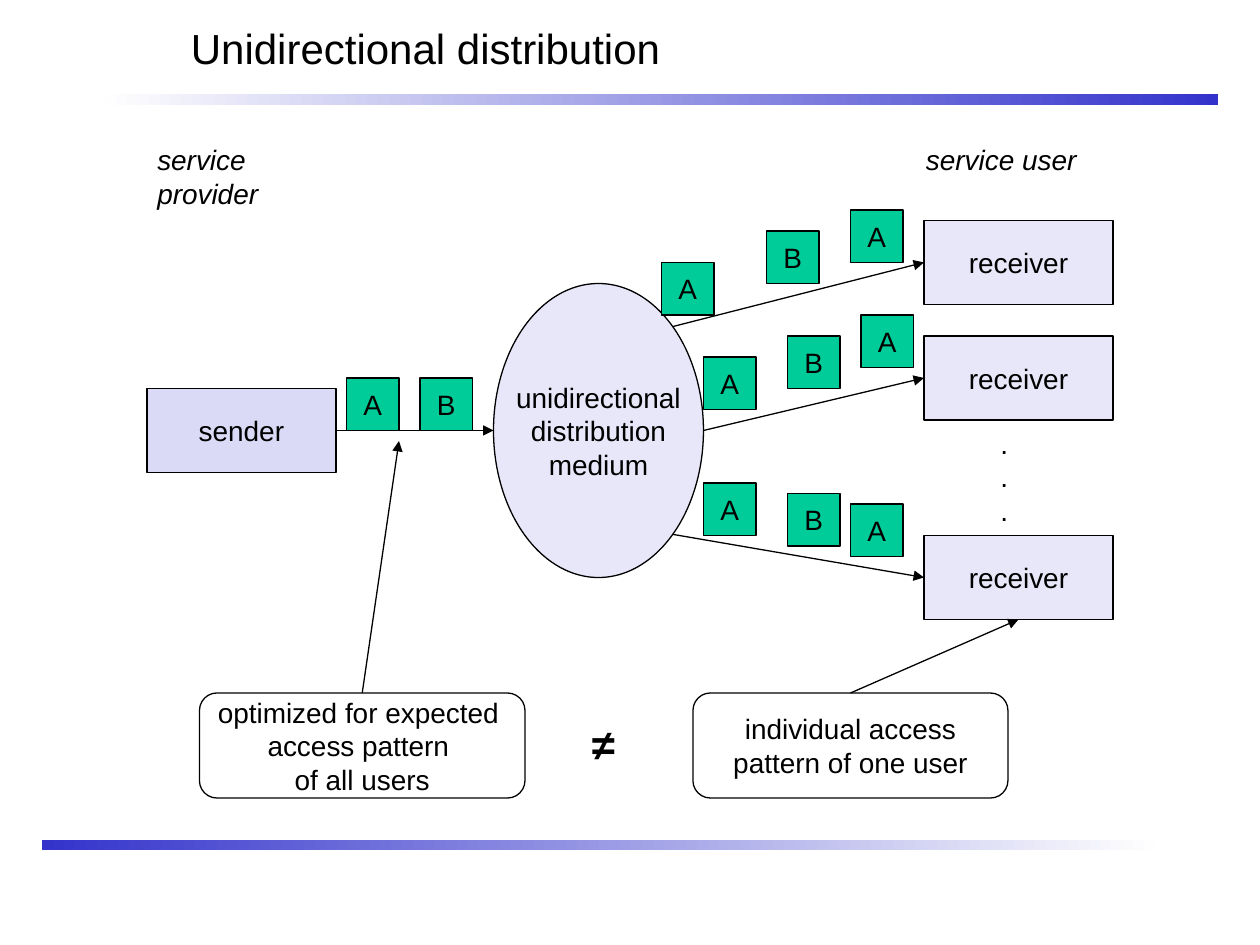
from lxml import etree
from pptx import Presentation
from pptx import util as u
from pptx.dml.color import RGBColor
from pptx.enum import shapes, text
from pptx.oxml.ns import qn

PX = u.Inches(1) // 120
COLORS = {
    "ink": "000000",
    "paper": "FFFFFF",
    "sender": "DADAF6",
    "pale": "E7E7F9",
    "packet": "00CC99",
    "bar": "3333CC",
    "fade": "FEFEFE",
}
PACKET = 50


def px(*lengths):
    return [length * PX for length in lengths]


def rgb(name):
    return RGBColor.from_string(COLORS[name])


def write(frame, words, size=16, align=text.PP_ALIGN.LEFT, bold=False, italic=False):
    frame.word_wrap = False
    frame.text = words
    for paragraph in frame.paragraphs:
        paragraph.alignment = align
        font = paragraph.font
        font.name, font.size = "Arial", u.Pt(size)
        font.bold, font.italic = bold, italic
        font.color.rgb = rgb("ink")


def label(slide, box, words, **style):
    frame = slide.shapes.add_textbox(*px(*box)).text_frame
    write(frame, words, **style)
    frame.auto_size = text.MSO_AUTO_SIZE.SHAPE_TO_FIT_TEXT
    return frame


def node(slide, box, words, fill, kind=shapes.MSO_SHAPE.RECTANGLE):
    outline = slide.shapes.add_shape(kind, *px(*box))
    outline.shadow.inherit = False
    outline.fill.solid()
    outline.fill.fore_color.rgb = rgb(fill)
    outline.line.color.rgb = rgb("ink")
    outline.line.width = u.Pt(0.75)
    outline.text_frame.vertical_anchor = text.MSO_ANCHOR.MIDDLE
    write(outline.text_frame, words, align=text.PP_ALIGN.CENTER)


def arrow(slide, start, end):
    link = slide.shapes.add_connector(shapes.MSO_CONNECTOR.STRAIGHT, *px(*start, *end))
    link.line.color.rgb = rgb("ink")
    link.line.width = u.Pt(0.75)
    etree.SubElement(link.line._get_or_add_ln(), qn("a:tailEnd"), type="triangle")
    etree.SubElement(link._element.spPr, qn("a:effectLst"))


def packets(slide, left, top, places):
    for name, x, y in places:
        node(slide, (left + x, top + y, PACKET, PACKET), name, "packet")


def gradient_bar(slide, box, start, end):
    bar = slide.shapes.add_shape(shapes.MSO_SHAPE.RECTANGLE, *px(*box))
    bar.shadow.inherit = False
    bar.line.fill.background()
    bar.fill.gradient()
    bar.fill.gradient_angle = 180
    for stop, name in zip(bar.fill.gradient_stops, (start, end)):
        stop.color.rgb = rgb(name)


def frame_slide(slide, left, top, width, height):
    bar_width, bar_height = width - 60, 10
    gradient_bar(slide, (left + 60, top + 90, bar_width, bar_height), "bar", "fade")
    gradient_bar(slide, (left, top + height - bar_height, bar_width, bar_height), "fade", "bar")
    title = label(slide, (left + 130, top, 1010, 90), "Unidirectional distribution", size=24)
    title.auto_size = text.MSO_AUTO_SIZE.NONE
    title.word_wrap = True
    title.vertical_anchor = text.MSO_ANCHOR.MIDDLE


def provider(slide, left, top, width, height):
    label(slide, (left - 2, top, 211, 44), "service provider", italic=True)
    node(slide, (left, top + 240, 180, 80), "sender", "sender")
    arrow(slide, (left + 180, top + 280), (left + width, top + height))
    packets(slide, left, top, [("A", 190, 230), ("B", 260, 230)])


def medium(slide, left, top, width, height):
    node(slide, (left, top, width, height), "unidirectional\ndistribution\nmedium",
         "pale", shapes.MSO_SHAPE.OVAL)


def users(slide, left, top, width, height):
    room = width - 180
    label(slide, (left + room - 10, top, 167, 44), "service user", italic=True)
    branches = [
        (80, (-29, 181), [("A", -40, 120), ("B", 60, 90), ("A", 140, 70)]),
        (190, (0, 280), [("A", 0, 210), ("B", 80, 190), ("A", 150, 170)]),
        (height - 80, (-29, 379), [("A", 0, 330), ("B", 80, 340), ("A", 140, 350)]),
    ]
    for y, (exit_x, exit_y), places in branches:
        node(slide, (left + room, top + y, 180, 80), "receiver", "pale")
        arrow(slide, (left + exit_x, top + exit_y), (left + room, top + y + 40))
        packets(slide, left, top, places)
    label(slide, (left + room + 61, top + 270, 31, 140), ".\n.\n.")


def comparison(slide, left, top, width, height):
    rounded = shapes.MSO_SHAPE.ROUNDED_RECTANGLE
    node(slide, (left, top, 310, height),
         "optimized for expected \naccess pattern \nof all users", "paper", rounded)
    node(slide, (left + width - 300, top, 300, height),
         "individual access\npattern of one user", "paper", rounded)
    label(slide, (left + 362, top + 18, 55, 60), "≠", size=24, bold=True)
    arrow(slide, (left + 155, top), (left + 190, top - 240))
    arrow(slide, (left + width - 150, top), (left + width + 10, top - 70))


def main():
    deck = Presentation()
    deck.slide_width, deck.slide_height = px(1200, 900)
    slide = deck.slides.add_slide(deck.slide_layouts[6])
    frame_slide(slide, 40, 0, 1120, 810)
    provider(slide, 140, 130, 330, 280)
    medium(slide, 470, 270, 200, 280)
    users(slide, 670, 130, 390, 460)
    comparison(slide, 190, 660, 770, 100)
    deck.save("out.pptx")


if __name__ == "__main__":
    main()
